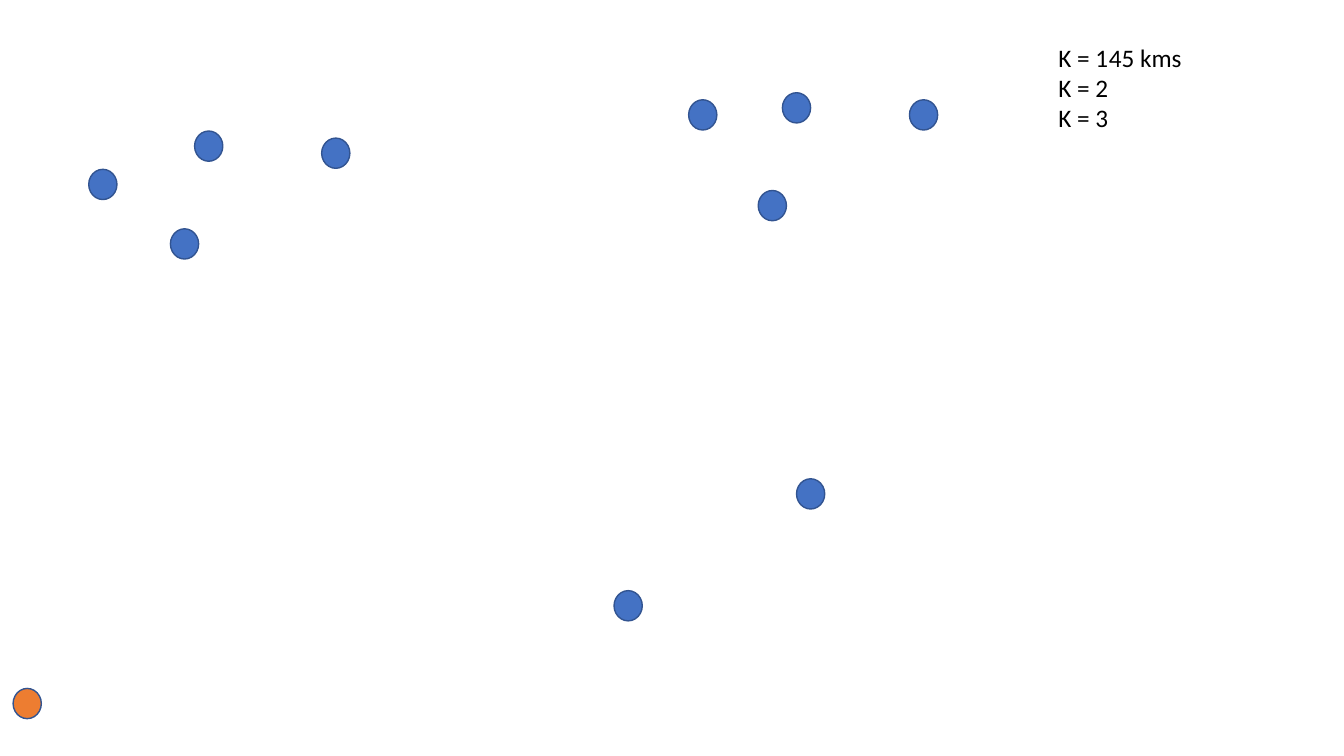
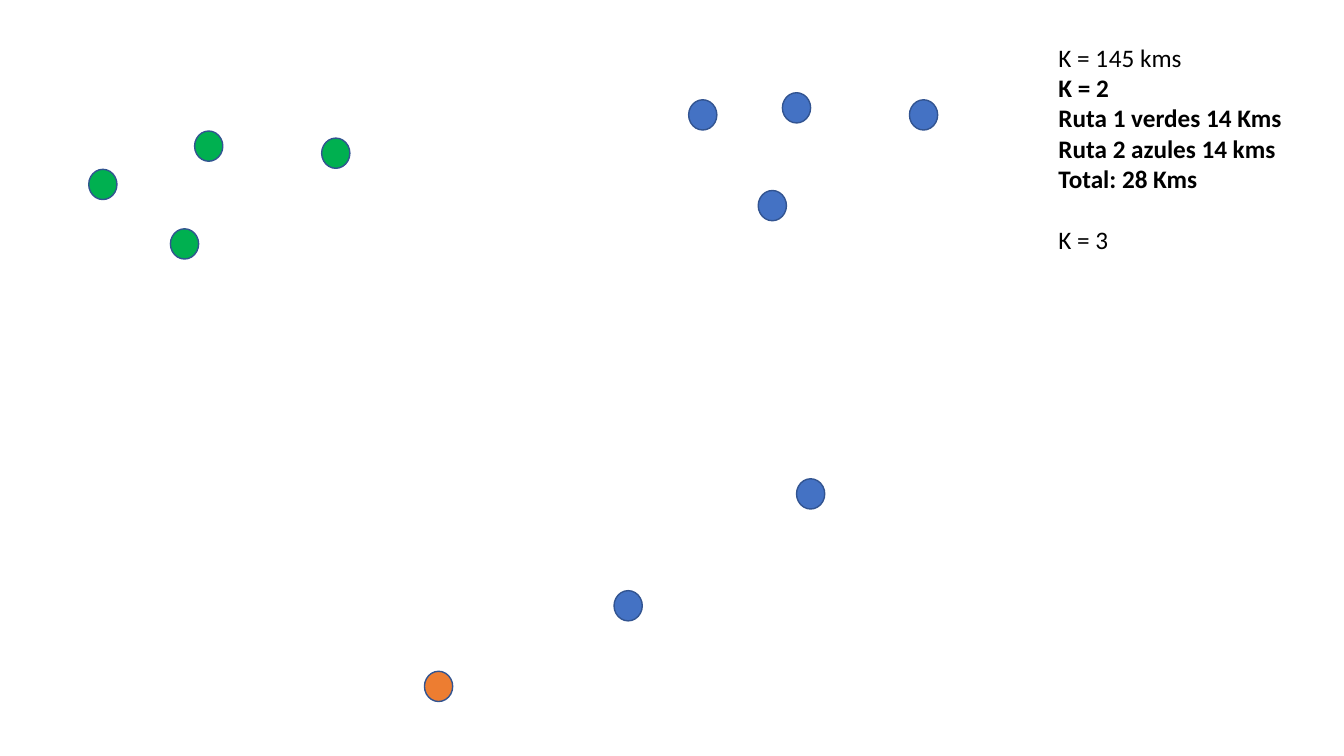
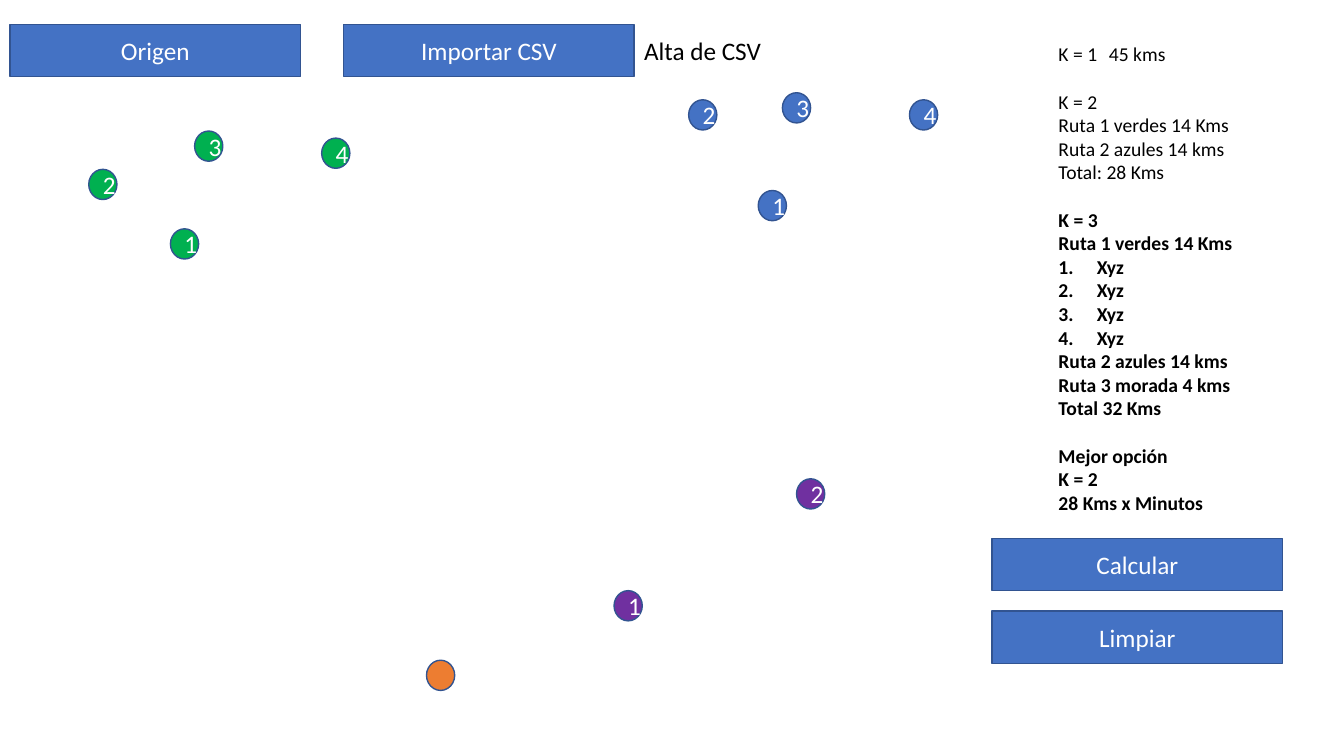
"""Three slides that compare delivery routes grouped into K = 1, 2 and 3 clusters."""
from lxml import etree
from pptx import Presentation
from pptx.dml.color import RGBColor
from pptx.enum import shapes, text
from pptx.oxml import ns
from pptx.util import Inches, Pt

COLORS = {
    "blue": "4472C4", "green": "00B050", "purple": "7030A0", "orange": "ED7D31",
    "outline": "325491", "white": "FFFFFF", "black": "000000",
}
FONT = "Calibri"
STOP_SIZE = (0.28, 0.3)
BUTTON_SIZE = (2.88, 0.52)
LINE_HEIGHT = 1.22

STOPS = {
    "west": [(1.69, 2.27), (0.88, 1.68), (1.93, 1.3), (3.19, 1.37)],
    "north": [(7.52, 1.89), (6.83, 0.99), (7.76, 0.92), (9.02, 0.99)],
    "south": [(6.09, 5.86), (7.9, 4.75)],
}

ONE_ROUTE = ["K = 1\t45 kms"]
GREEN_ROUTE = "Ruta 1 verdes 14 Kms"
BLUE_ROUTE = "Ruta 2 azules 14 kms"
TWO_ROUTES = ["K = 2", GREEN_ROUTE, BLUE_ROUTE, "Total: 28 Kms"]
THREE_ROUTES = ["K = 3", GREEN_ROUTE, *["Xyz"] * 4, BLUE_ROUTE,
                "Ruta 3 morada 4 kms", "Total 32 Kms"]
BEST_OPTION = ["Mejor opción", "K = 2", "28 Kms x Minutos"]

SLIDES = [
    {
        "routes": {"west": "blue", "north": "blue", "south": "blue"},
        "origin": (0.13, 6.83), "numbered": False,
        "summary_box": (10.4, 0.37, 1.94, 1.01), "size": 18,
        "summary": [(ONE_ROUTE + ["K = 2", "K = 3"], False, False)],
    },
    {
        "routes": {"west": "green", "north": "blue", "south": "blue"},
        "origin": (4.21, 6.66), "numbered": False,
        "summary_box": (10.4, 0.37, 2.44, 2.22), "size": 18,
        "summary": [(ONE_ROUTE, False, False), (TWO_ROUTES, True, False),
                    (["K = 3"], False, True)],
    },
    {
        "routes": {"west": "green", "north": "blue", "south": "purple"},
        "origin": (4.23, 6.55), "numbered": True,
        "summary_box": (10.4, 0.37, 1.94, 5.12), "size": 14,
        "summary": [(ONE_ROUTE, False, False), (TWO_ROUTES, False, True),
                    (THREE_ROUTES, True, True), (BEST_OPTION, True, True)],
    },
]
BUTTONS = [("Origen", 0.1, 0.24), ("Importar CSV", 3.41, 0.24),
           ("Calcular", 9.84, 5.34), ("Limpiar", 9.84, 6.06)]


def add_block(slide, kind, position, size, color, label=""):
    block = slide.shapes.add_shape(kind, *map(Inches, position + size))
    block.shadow.inherit = False
    block.fill.solid()
    block.fill.fore_color.rgb = RGBColor.from_string(COLORS[color])
    block.line.color.rgb = RGBColor.from_string(COLORS["outline"])
    block.line.width = Pt(1)
    if label:
        block.text_frame.text = label
        block.text_frame.vertical_anchor = text.MSO_ANCHOR.MIDDLE
        paragraph = block.text_frame.paragraphs[0]
        paragraph.alignment = text.PP_ALIGN.CENTER
        font = paragraph.runs[0].font
        font.name, font.size = FONT, Pt(18)
        font.color.rgb = RGBColor.from_string(COLORS["white"])


def add_summary(slide, box, size, groups):
    frame = slide.shapes.add_textbox(*map(Inches, box)).text_frame
    frame.word_wrap = False
    frame.auto_size = text.MSO_AUTO_SIZE.SHAPE_TO_FIT_TEXT
    entries = [(line, bold, gap and i == 0)
               for lines, bold, gap in groups for i, line in enumerate(lines)]
    for i, (line, bold, gap) in enumerate(entries):
        paragraph = frame.add_paragraph() if i else frame.paragraphs[0]
        paragraph.text = line
        if gap:
            paragraph.space_before = Pt(round(size * LINE_HEIGHT, 1))
        font = paragraph.runs[0].font
        font.name, font.size, font.bold = FONT, Pt(size), bold
        font.color.rgb = RGBColor.from_string(COLORS["black"])
        if line == "Xyz":
            properties = paragraph._p.get_or_add_pPr()
            properties.set("marL", str(Inches(0.38)))
            properties.set("indent", str(Inches(-0.38)))
            etree.SubElement(properties, ns.qn("a:buAutoNum"), type="arabicPeriod")


deck = Presentation()
deck.slide_width, deck.slide_height = Inches(13.33), Inches(7.5)

for scenario in SLIDES:
    slide = deck.slides.add_slide(deck.slide_layouts[6])
    for zone, color in scenario["routes"].items():
        for order, stop in enumerate(STOPS[zone], 1):
            label = str(order) if scenario["numbered"] else ""
            add_block(slide, shapes.MSO_SHAPE.OVAL, stop, STOP_SIZE, color, label)
    add_block(slide, shapes.MSO_SHAPE.OVAL, scenario["origin"], STOP_SIZE, "orange")
    add_summary(slide, scenario["summary_box"], scenario["size"], scenario["summary"])

for label, left, top in BUTTONS:
    add_block(slide, shapes.MSO_SHAPE.RECTANGLE, (left, top), BUTTON_SIZE, "blue", label)
add_summary(slide, (6.29, 0.3, 1.38, 0.4), 18, [(["Alta de CSV"], False, False)])

deck.save("out.pptx")
